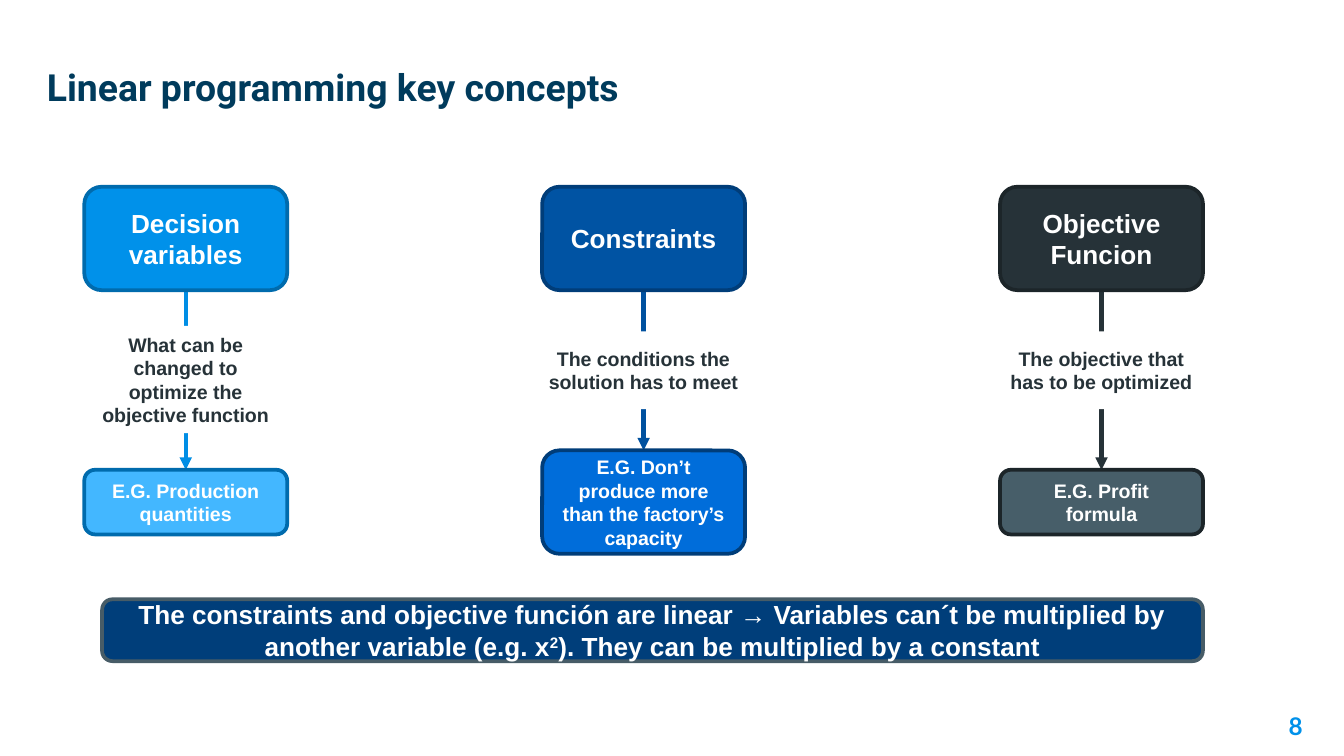
"""Build the slide on the key concepts of linear programming."""
from lxml import etree
from pptx import Presentation
from pptx.dml.color import RGBColor
from pptx.enum import shapes, text
from pptx.oxml import ns
from pptx.util import Pt

TITLE = "Linear programming key concepts"
PAGE = "8"
RULE = [
    ("The constraints and objective función are linear → Variables can´t "
     "be multiplied by another variable (e.g. x", 0),
    ("2", 30000),
    ("). They can be multiplied by a constant", 0),
]
INK, WHITE = "263238", "FFFFFF"
# name, note, example, fill, edge, example fill, line, note top and height, example height
COLS = [
    ("Decision variables", "What can be changed to optimize the objective function",
     "E.G. Production quantities", "0091EA", "006BAD", "43B7FF", "008EE5",
     175.7, 55.4, 34.6),
    ("Constraints", "The conditions the solution has to meet",
     "E.G. Don’t produce more than the factory’s capacity",
     "0053A3", "003D79", "006DDA", "00519F", 178.6, 39.6, 55.4),
    ("Objective Funcion", "The objective that has to be optimized",
     "E.G. Profit formula", INK, "1C2529", "475E69", INK, 178.6, 39.6, 34.6),
]
LEFT, STEP = 99.5, 245.3
TOP, HIGH, WIDE, NOTE = 100.1, 55.4, 108.7, 120.2
MID = 269


def rgb(code):
    """Turn a hex string into a colour."""
    return RGBColor.from_string(code)


def style(para, face, size, ink, align):
    """Format every run of a paragraph."""
    para.alignment = align
    for run in para.runs:
        font = run.font
        font.name, font.size, font.bold = face, Pt(size), True
        font.color.rgb = rgb(ink)


def label(slide, words, box, face, size, ink, align, anchor):
    """Add a plain text box."""
    frame = slide.shapes.add_textbox(*map(Pt, box)).text_frame
    frame.word_wrap, frame.vertical_anchor = True, anchor
    frame.margin_left = frame.margin_right = Pt(7.2)
    frame.margin_top = frame.margin_bottom = Pt(7.2)
    frame.text = words
    style(frame.paragraphs[0], face, size, ink, align)


def card(slide, parts, box, fill, edge, size, ink=WHITE):
    """Add a rounded box with centred text."""
    shape = slide.shapes.add_shape(shapes.MSO_SHAPE.ROUNDED_RECTANGLE, *map(Pt, box))
    shape.shadow.inherit = False
    shape.fill.solid()
    shape.fill.fore_color.rgb = rgb(fill)
    shape.line.color.rgb = rgb(edge)
    shape.line.width = Pt(2)
    frame = shape.text_frame
    frame.word_wrap, frame.vertical_anchor = True, text.MSO_ANCHOR.MIDDLE
    para = frame.paragraphs[0]
    for words, base in parts:
        run = para.add_run()
        run.text = words
        if base:
            run.font._element.set("baseline", str(base))
    style(para, "Arial", size, ink, text.PP_ALIGN.CENTER)


def arrow(slide, x, top, end, ink):
    """Add a downward arrow."""
    line = slide.shapes.add_connector(
        shapes.MSO_CONNECTOR.STRAIGHT, Pt(x), Pt(top), Pt(x), Pt(end))
    line.line.color.rgb = rgb(ink)
    line.line.width = Pt(2.25)
    etree.SubElement(line.line._get_or_add_ln(), ns.qn("a:tailEnd"), type="triangle")
    etree.SubElement(line._element.spPr, ns.qn("a:effectLst"))


def main():
    """Lay out and save the slide."""
    deck = Presentation()
    deck.slide_width, deck.slide_height = Pt(720), Pt(405)
    slide = deck.slides.add_slide(deck.slide_layouts[6])
    label(slide, TITLE, (18, 10.1, 596.2, 55.4), "Roboto", 20, "003B5C",
          text.PP_ALIGN.LEFT, text.MSO_ANCHOR.BOTTOM)
    label(slide, PAGE, (661.7, 373.7, 43.2, 31), "Lato", 13, "0091EA",
          text.PP_ALIGN.RIGHT, text.MSO_ANCHOR.TOP)
    for i, (name, note, case, fill, edge, pale, ink, y, tall, high) in enumerate(COLS):
        x = LEFT + i * STEP
        side, low = x - WIDE / 2, MID - high / 2
        arrow(slide, x, TOP + HIGH, low, ink)
        card(slide, [(name, 0)], (side, TOP, WIDE, HIGH), fill, edge, 14)
        card(slide, [(note, 0)], (x - NOTE / 2, y, NOTE, tall), WHITE, WHITE, 10.5, INK)
        card(slide, [(case, 0)], (side, low, WIDE, high), pale, edge, 10.5)
    card(slide, RULE, (54.7, 321.1, 589.7, 33.1), "003E7A", "475C67", 14)
    deck.save("out.pptx")


if __name__ == "__main__":
    main()
